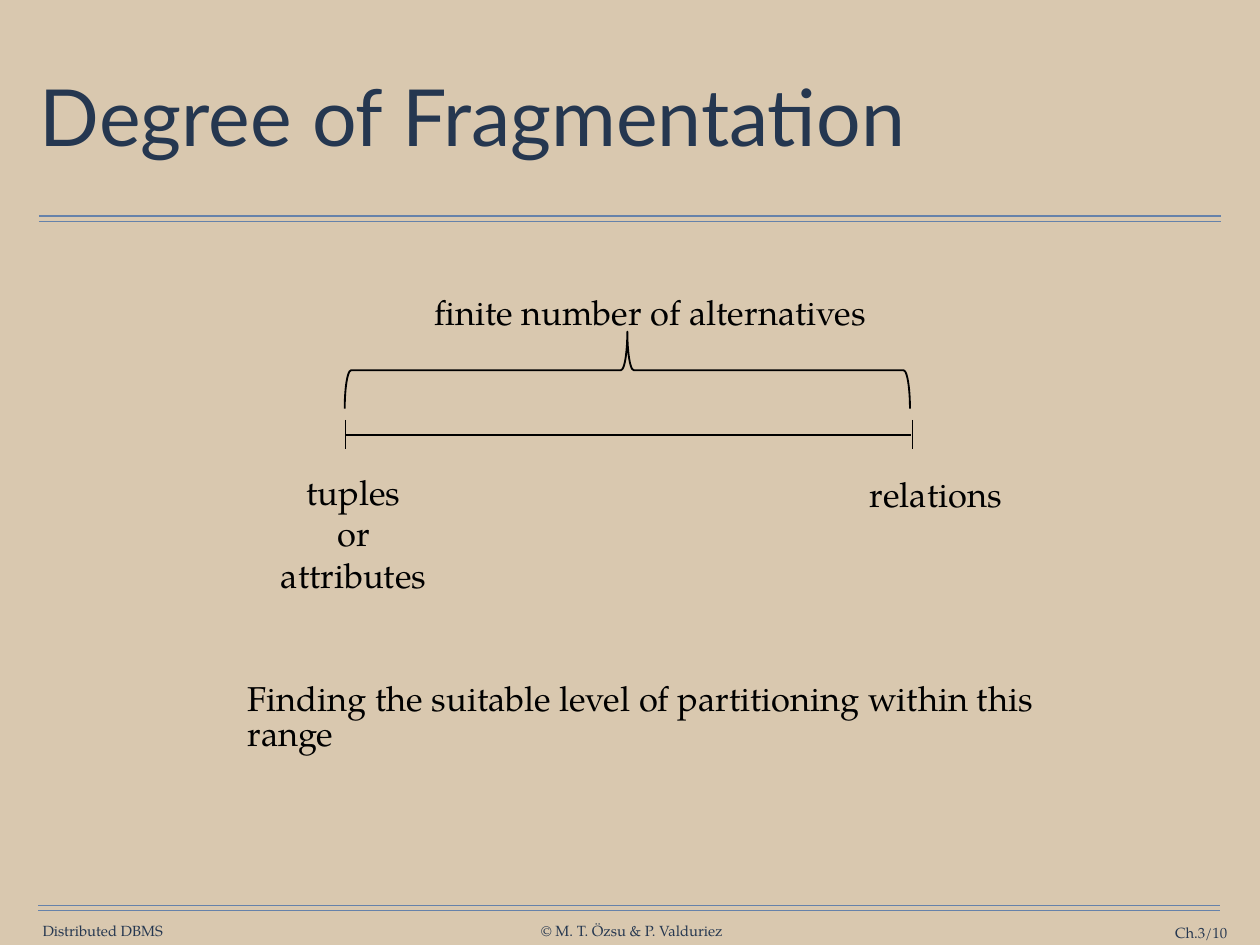
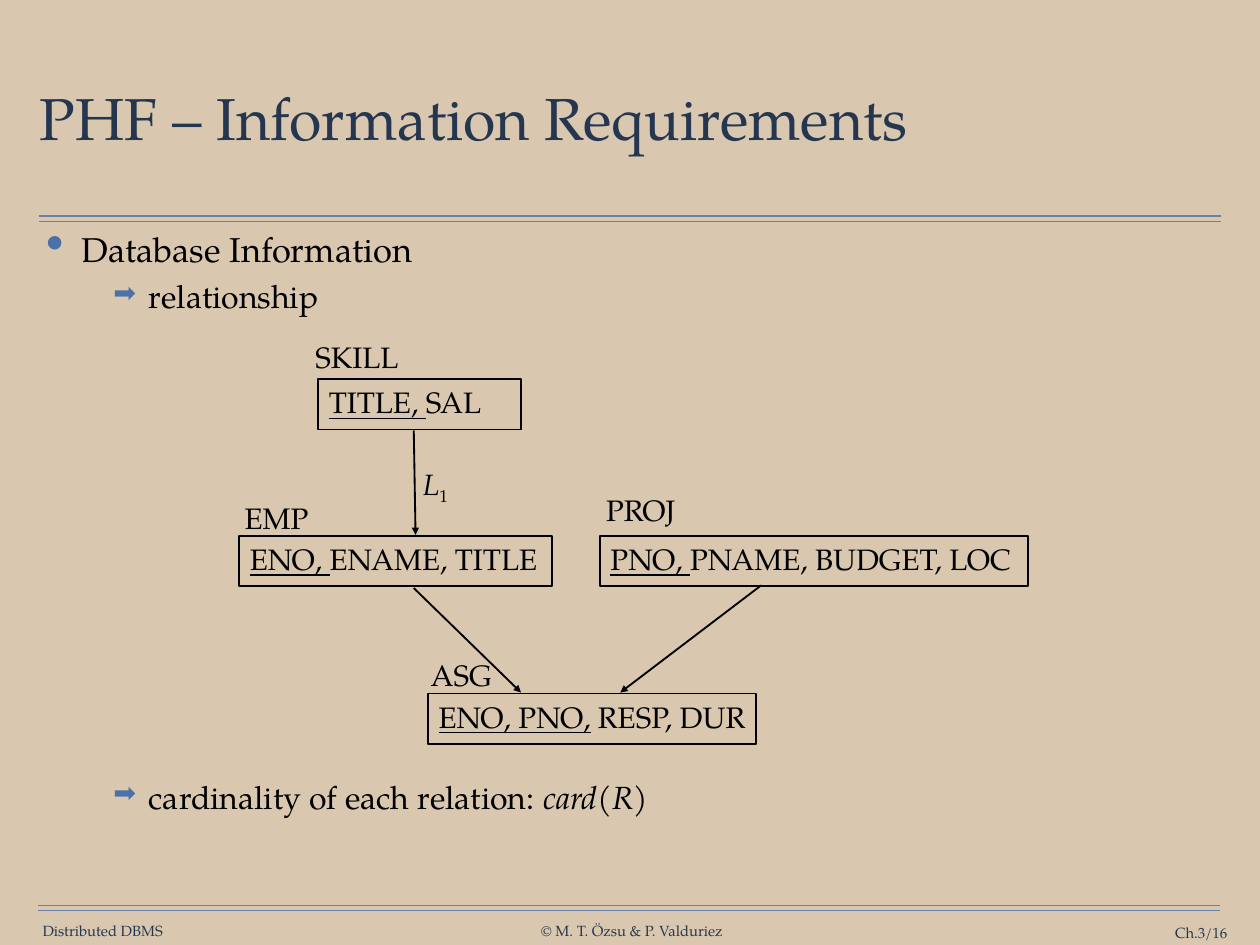
from lxml.etree import SubElement
from pptx import Presentation
from pptx.dml.color import RGBColor
from pptx.enum.shapes import MSO_CONNECTOR as CONNECTOR, MSO_SHAPE as SHAPE
from pptx.enum.text import MSO_ANCHOR as ANCHOR, PP_ALIGN as ALIGN
from pptx.oxml.ns import qn
from pptx.util import Inches, Pt

SERIF, SANS = "TeX Gyre Pagella", "Lato"
SAND, NAVY, RULE, BULLET, BLACK = "D9C8AF", "253750", "6682AA", "4A71A9", "000000"
WIDTH, HEIGHT = 14.22, 10.67
TIGHT, LABEL_INSETS = (0, 0, 0, 0), (0.14, 0.07, 0.14, 0.07)


def rgb(color):
    return RGBColor.from_string(color)


def add_runs(paragraph, runs, size, color=BLACK, font=SERIF):
    """Each run is plain text or a (text, style) pair; style is u, i or sub."""
    for item in runs:
        text, style = (item, "") if isinstance(item, str) else item
        run = paragraph.add_run()
        run.text = text
        run.font.name, run.font.size = font, Pt(size)
        run.font.color.rgb = rgb(color)
        if style == "u":
            run.font.underline = True
        elif style == "i":
            run.font.italic = True
        elif style == "sub":
            run.font._element.set("baseline", "-25000")


def set_frame(frame, insets, wrap=True, anchor=ANCHOR.TOP):
    frame.word_wrap, frame.vertical_anchor = wrap, anchor
    (frame.margin_left, frame.margin_top,
     frame.margin_right, frame.margin_bottom) = map(Inches, insets)


def add_text(slide, box, lines, size, color=BLACK, font=SERIF, align=ALIGN.CENTER,
             insets=LABEL_INSETS, wrap=False, anchor=ANCHOR.TOP, spacing=None):
    frame = slide.shapes.add_textbox(*map(Inches, box)).text_frame
    set_frame(frame, insets, wrap, anchor)
    for index, runs in enumerate(lines):
        paragraph = frame.add_paragraph() if index else frame.paragraphs[0]
        paragraph.alignment, paragraph.line_spacing = align, spacing
        add_runs(paragraph, runs, size, color, font)
    return frame


def add_line(slide, start, end, color=BLACK, weight=1.5, arrow=False):
    line = slide.shapes.add_connector(CONNECTOR.STRAIGHT, *map(Inches, start + end))
    line.line.color.rgb, line.line.width = rgb(color), Pt(weight)
    if arrow:
        SubElement(line.line._get_or_add_ln(), qn("a:tailEnd"), type="triangle")
    SubElement(line._element.spPr, qn("a:effectLst"))


def add_outline(slide, kind, box):
    shape = slide.shapes.add_shape(kind, *map(Inches, box))
    shape.shadow.inherit = False
    shape.fill.background()
    shape.line.color.rgb, shape.line.width = rgb(BLACK), Pt(1.5)
    return shape


def add_bullet(paragraph, symbol, percent, indent):
    properties = paragraph._p.get_or_add_pPr()
    properties.set("marL", str(Inches(indent)))
    properties.set("indent", str(Inches(-0.4)))
    color = SubElement(properties, qn("a:buClr"))
    SubElement(color, qn("a:srgbClr"), val=BULLET)
    SubElement(properties, qn("a:buSzPct"), val=str(percent * 1000))
    SubElement(properties, qn("a:buChar"), char=symbol)


def add_base(prs, title, page, title_size, title_font):
    """Background, double rules, footer and title."""
    slide = prs.slides.add_slide(prs.slide_layouts[6])
    slide.background.fill.solid()
    slide.background.fill.fore_color.rgb = rgb(SAND)
    for left, top in ((0.44, 2.44), (0.43, 10.22)):
        for y in (top, top + 0.06):
            add_line(slide, (left, y), (left + 13.34, y), RULE, 1)
    footers = (
        ((0.47, 10.41, 1.38, 0.2), "Distributed DBMS", ALIGN.CENTER),
        ((6.09, 10.41, 2.08, 0.2), "© M. T. Özsu & P. Valduriez", ALIGN.CENTER),
        ((12.31, 10.43, 1.54, 0.2), f"Ch.3/{page}", ALIGN.RIGHT),
    )
    for box, text, align in footers:
        add_text(slide, box, [[text]], 12, NAVY, align=align, insets=TIGHT,
                 wrap=align == ALIGN.RIGHT, anchor=ANCHOR.MIDDLE)
    add_text(slide, (0.39, 0.49, 13.44, 1.76), [[title]], title_size, NAVY, title_font,
             ALIGN.LEFT, (0.06,) * 4, True, ANCHOR.MIDDLE, 0.9)
    return slide


def add_range(slide, left, top, width):
    """Scale with end ticks, a brace above it and captions."""
    right = left + width
    add_line(slide, (left, top), (right - 0.02, top))
    for x in (left, right):
        add_line(slide, (x, top - 0.17), (x, top + 0.16), weight=1)
    # The brace is upright before its quarter turn
    depth, span = 0.87, 6.38
    center_x, center_y = left + 3.18, top - 0.73
    brace = add_outline(slide, SHAPE.RIGHT_BRACE, (center_x - depth / 2,
                        center_y - span / 2, depth, span))
    brace.rotation = 270
    add_text(slide, (left + 0.82, top - 1.69, 5.23, 0.61),
             [["finite number of alternatives"]], 28)
    add_text(slide, (left - 0.84, top + 0.36, 1.86, 1.51),
             [["tuples"], ["or"], ["attributes"]], 28, insets=(0.1, 0.05, 0.1, 0.05))
    add_text(slide, (right - 0.63, top + 0.36, 1.78, 0.61), [["relations"]], 28)


def add_relation(slide, left, top, width, name, name_offset, key, others):
    """Boxed attribute list with the relation's name above it."""
    dx, dy = name_offset
    attributes = add_outline(slide, SHAPE.RECTANGLE, (left, top, width, 0.57)).text_frame
    set_frame(attributes, (0.12, 0, 0, 0.05), anchor=ANCHOR.MIDDLE)
    attributes.paragraphs[0].alignment = ALIGN.LEFT
    add_runs(attributes.paragraphs[0], [(key, "u"), others], 24)
    add_text(slide, (left + dx, top + dy, 1.3, 0.54), [[name]], 24,
             align=ALIGN.LEFT, wrap=True)


def add_schema(slide, left, top):
    """Relations joined by their links."""
    relations = (
        (0.89, 0, 2.29, "SKILL", (-0.17, -0.52), "TITLE, ", "SAL"),
        (0, 1.77, 3.53, "EMP", (-0.08, -0.48), "ENO, ", "ENAME, TITLE"),
        (2.13, 3.55, 3.7, "ASG", (-0.11, -0.48), "ENO, PNO,", " RESP, DUR"),
        (4.07, 1.77, 4.83, "PROJ", (-0.07, -0.56), "PNO, ", "PNAME, BUDGET, LOC"),
    )
    for x, y, *details in relations:
        add_relation(slide, left + x, top + y, *details)
    links = (
        ((1.97, 0.58), (1.99, 1.76)),
        ((1.97, 2.36), (3.18, 3.54)),
        ((5.89, 2.33), (4.3, 3.54)),
    )
    for start, end in links:
        add_line(slide, (left + start[0], top + start[1]),
                 (left + end[0], top + end[1]), arrow=True)
    add_text(slide, (left + 1.91, top + 0.91, 0.61, 0.54),
             [[("L", "i"), ("1", "sub")]], 24)


def add_outline_text(slide, box):
    """Bulleted list that leaves room for the schema."""
    items = (
        (["Database Information"], 28, "•", 150, 0.4, 12),
        (["relationship"], 26, "➡", 85, 1.16, 12),
        (["cardinality of each relation: ", ("card", "i"), "(", ("R", "i"), ")"],
         26, "➡", 85, 1.16, 382),
    )
    frame = add_text(slide, box, [[] for _ in items], 28, align=ALIGN.LEFT,
                     insets=(0.06,) * 4, wrap=True, spacing=0.8)
    for paragraph, (runs, size, symbol, percent, indent, before) in zip(
            frame.paragraphs, items):
        paragraph.space_before = Pt(before)
        add_bullet(paragraph, symbol, percent, indent)
        add_runs(paragraph, runs, size)


def main():
    prs = Presentation()
    prs.slide_width, prs.slide_height = Inches(WIDTH), Inches(HEIGHT)

    # Degree of fragmentation
    degree = add_base(prs, "Degree of Fragmentation", 10, 64, SANS)
    add_range(degree, 3.9, 4.91, 6.4)
    add_text(degree, (2.7, 7.68, 9.25, 1.35),
             [["Finding the suitable level of partitioning within this range"]], 28,
             align=ALIGN.LEFT, insets=(0.1, 0.04, 0.1, 0.04), wrap=True, spacing=0.85)

    # Information requirements
    requirements = add_base(prs, "PHF – Information Requirements", 16, 48, SERIF)
    add_outline_text(requirements, (0.46, 2.61, 11.14, 7.29))
    add_schema(requirements, 2.7, 4.28)

    prs.save("out.pptx")


if __name__ == "__main__":
    main()
